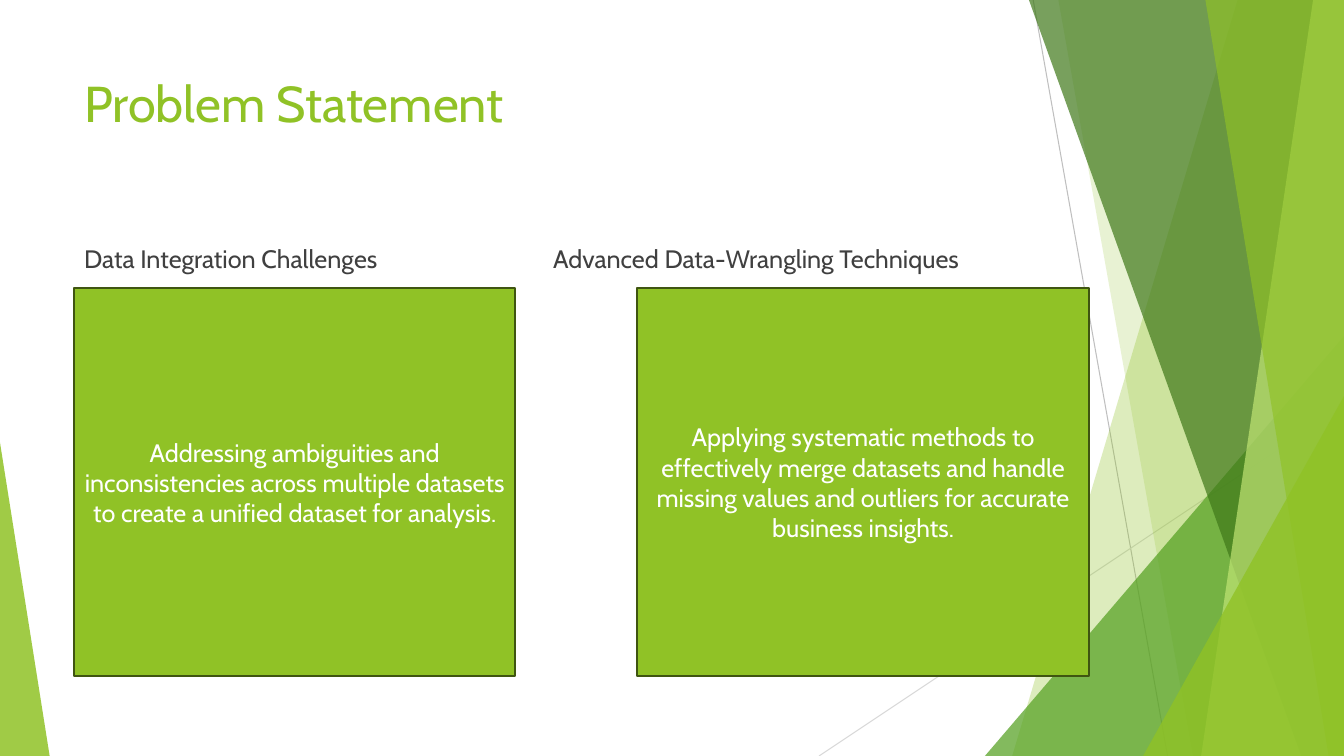
from dataclasses import dataclass

from lxml.etree import SubElement
from pptx import Presentation
from pptx.dml.color import RGBColor
from pptx.enum.shapes import MSO_CONNECTOR, MSO_SHAPE
from pptx.enum.text import MSO_ANCHOR, MSO_AUTO_SIZE, PP_ALIGN
from pptx.oxml.ns import qn
from pptx.util import Pt


@dataclass
class Theme:
    font: str = "Cabin"
    head: int = 36
    body: int = 18
    lime: str = "90C226"
    pale: str = "C0E474"
    green: str = "54A021"
    dark: str = "3F7819"
    edge: str = "3F5511"
    ink: str = "404040"
    white: str = "FFFFFF"


theme = Theme()


def paint(shape, color, alpha=100):
    shape.shadow.inherit = False
    shape.fill.solid()
    shape.fill.fore_color.rgb = RGBColor.from_string(color)
    shape.line.fill.background()
    if alpha < 100:
        tone = shape.fill._xPr.find(qn("a:solidFill"))[0]
        SubElement(tone, qn("a:alpha"), val=str(alpha * 1000))


def write(shape, text, size, color, align, anchor):
    frame = shape.text_frame
    frame.text = text
    frame.word_wrap = True
    frame.auto_size = MSO_AUTO_SIZE.NONE
    frame.vertical_anchor = anchor
    para = frame.paragraphs[0]
    para.alignment = align
    font = para.runs[0].font
    font.name = theme.font
    font.size = Pt(size)
    font.color.rgb = RGBColor.from_string(color)


deck = Presentation()
wide, high = 960, 540
deck.slide_width, deck.slide_height = Pt(wide), Pt(high)
slide = deck.slides.add_slide(deck.slide_layouts[5])
shapes = slide.shapes
left = 53

# Thin lines behind the bands
for x1, y1, x2, y2, color in [
    (738, 0, 834, high, "BFBFBF"),
    (wide, 290, 585, high, "D9D9D9"),
]:
    line = shapes.add_connector(
        MSO_CONNECTOR.STRAIGHT, Pt(x1), Pt(y1), Pt(x2), Pt(y2))
    line.line.color.rgb = RGBColor.from_string(color)
    line.line.width = Pt(0.75)
    SubElement(line._element.spPr, qn("a:effectLst"))

# Green art: a band has a top and a foot x and runs to the right edge,
# a wedge has left, width, height and the place of its tip
for kind, spot, color, alpha in [
    ("band", (884, 723), theme.lime, 30),
    ("band", (756, 852), theme.lime, 20),
    ("wedge", (703.5, 256.5, 300, 1), theme.green, 72),
    ("band", (735, 929.5), theme.dark, 70),
    ("band", (938, 858), theme.pale, 70),
    ("band", (861, 949), theme.lime, 65),
    ("wedge", (816.5, 143.5, 257, 1), theme.lime, 80),
    ("wedge", (0, 35.5, 224, 0), theme.lime, 85),
]:
    if kind == "band":
        top, foot = spot
        pen = shapes.build_freeform(Pt(top), 0)
        pen.add_line_segments(
            [(Pt(wide), 0), (Pt(wide), Pt(high)), (Pt(foot), Pt(high))])
        art = pen.convert_to_shape()
    else:
        x, w, h, tip = spot
        art = shapes.add_shape(
            MSO_SHAPE.ISOSCELES_TRIANGLE, Pt(x), Pt(high - h), Pt(w), Pt(h))
        art.adjustments[0] = tip
    paint(art, color, alpha)

# Title
title = shapes.title
title.left, title.top = Pt(left), Pt(48)
title.width, title.height = Pt(677), Pt(104)
write(title, "Problem Statement", theme.head, theme.lime,
      PP_ALIGN.LEFT, MSO_ANCHOR.TOP)

# Both headings share one line, set apart by a tab stop
heads = shapes.add_textbox(Pt(left), Pt(170), Pt(725), Pt(305))
write(heads, "Data Integration Challenges\tAdvanced Data-Wrangling Techniques",
      theme.body, theme.ink, PP_ALIGN.LEFT, MSO_ANCHOR.TOP)
props = heads.text_frame.paragraphs[0]._p.get_or_add_pPr()
tabs = SubElement(props, qn("a:tabLst"))
SubElement(tabs, qn("a:tab"), pos=str(Pt(335)), algn="l")

# Cards
for x, w, text in [
    (left, 315, "Addressing ambiguities and inconsistencies across multiple "
     "datasets to create a unified dataset for analysis."),
    (455, 323, "Applying systematic methods to effectively merge datasets and "
     "handle missing values and outliers for accurate business insights."),
]:
    card = shapes.add_shape(
        MSO_SHAPE.RECTANGLE, Pt(x), Pt(206), Pt(w), Pt(277))
    paint(card, theme.lime)
    card.line.color.rgb = RGBColor.from_string(theme.edge)
    card.line.width = Pt(1.5)
    write(card, text, theme.body, theme.white,
          PP_ALIGN.CENTER, MSO_ANCHOR.MIDDLE)

deck.save("out.pptx")
